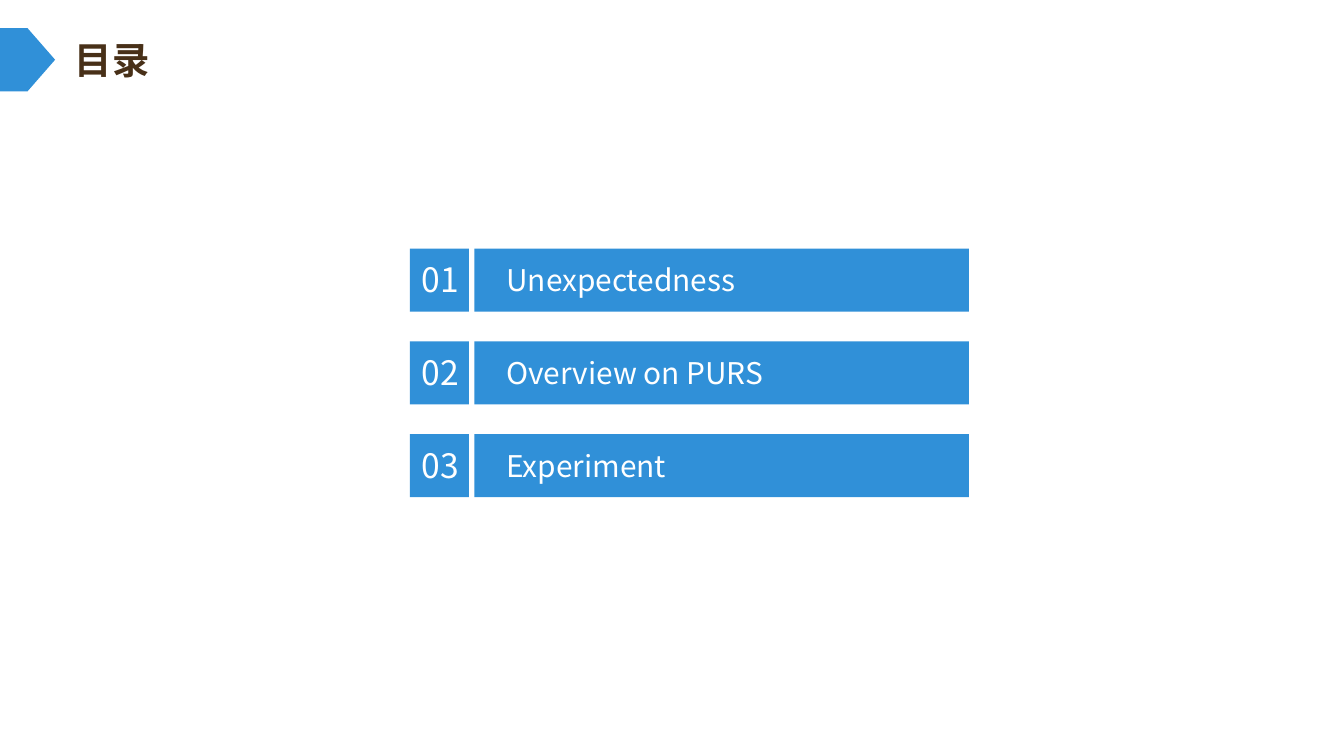
from pptx import Presentation
from pptx.dml.color import RGBColor
from pptx.enum.shapes import MSO_SHAPE
from pptx.enum.text import MSO_AUTO_SIZE
from pptx.oxml.ns import qn
from pptx.util import Inches, Pt
from lxml.etree import SubElement

COLORS = {"blue": "3090D8", "brown": "483018", "white": "FFFFFF"}
FONT = "Noto Sans CJK SC"

# Grid of the contents list, in inches
ROW_TOP, ROW_STEP, ROW_HEIGHT = 1.85, 0.69, 0.47
NUMBER_LEFT, NUMBER_WIDTH = 3.05, 0.44
BAR_LEFT, BAR_WIDTH = 3.53, 3.68


def add_block(shapes, kind, left, top, width):
    block = shapes.add_shape(kind, Inches(left), Inches(top), Inches(width), Inches(ROW_HEIGHT))
    block.shadow.inherit = False
    block.fill.solid()
    block.fill.fore_color.rgb = RGBColor.from_string(COLORS["blue"])
    block.line.fill.background()


def add_text(shapes, text, *, left, top, width, height, size, color="white", bold=False):
    box = shapes.add_textbox(Inches(left), Inches(top), Inches(width), Inches(height))
    box.text_frame.word_wrap = False
    box.text_frame.auto_size = MSO_AUTO_SIZE.SHAPE_TO_FIT_TEXT
    span = box.text_frame.paragraphs[0].add_run()
    span.text = text
    span.font.size = Pt(size)
    span.font.bold = bold
    span.font.name = FONT
    span.font.color.rgb = RGBColor.from_string(COLORS[color])
    # East Asian characters take their font from a separate element
    SubElement(span.font._element, qn("a:ea")).set("typeface", FONT)


# Widescreen page, 16:9
deck = Presentation()
deck.slide_width = Inches(10)
deck.slide_height = deck.slide_width * 9 // 16
page = deck.slides.add_slide(deck.slide_layouts[6])

# Contents list: number square, then a grouped bar and label
topics = [("Unexpectedness", 1.96), ("Overview on PURS", 2.2), ("Experiment", 1.42)]
for row, (topic, label_width) in enumerate(topics):
    top = ROW_TOP + row * ROW_STEP
    add_block(page.shapes, MSO_SHAPE.RECTANGLE, NUMBER_LEFT, top, NUMBER_WIDTH)
    add_text(page.shapes, f"{row + 1:02}", left=NUMBER_LEFT - 0.01, top=top + 0.03,
             width=0.5, height=0.4, size=18)
    entry = page.shapes.add_group_shape()
    add_block(entry.shapes, MSO_SHAPE.RECTANGLE, BAR_LEFT, top, BAR_WIDTH)
    add_text(entry.shapes, topic, left=BAR_LEFT + 0.14, top=top + 0.05,
             width=label_width, height=0.37, size=16)

# Heading with its arrow tab
add_block(page.shapes, MSO_SHAPE.PENTAGON, 0, 0.21, 0.41)
add_text(page.shapes, "目录", left=0.46, top=0.23, width=0.76, height=0.44,
         size=20, color="brown", bold=True)

deck.save("out.pptx")
